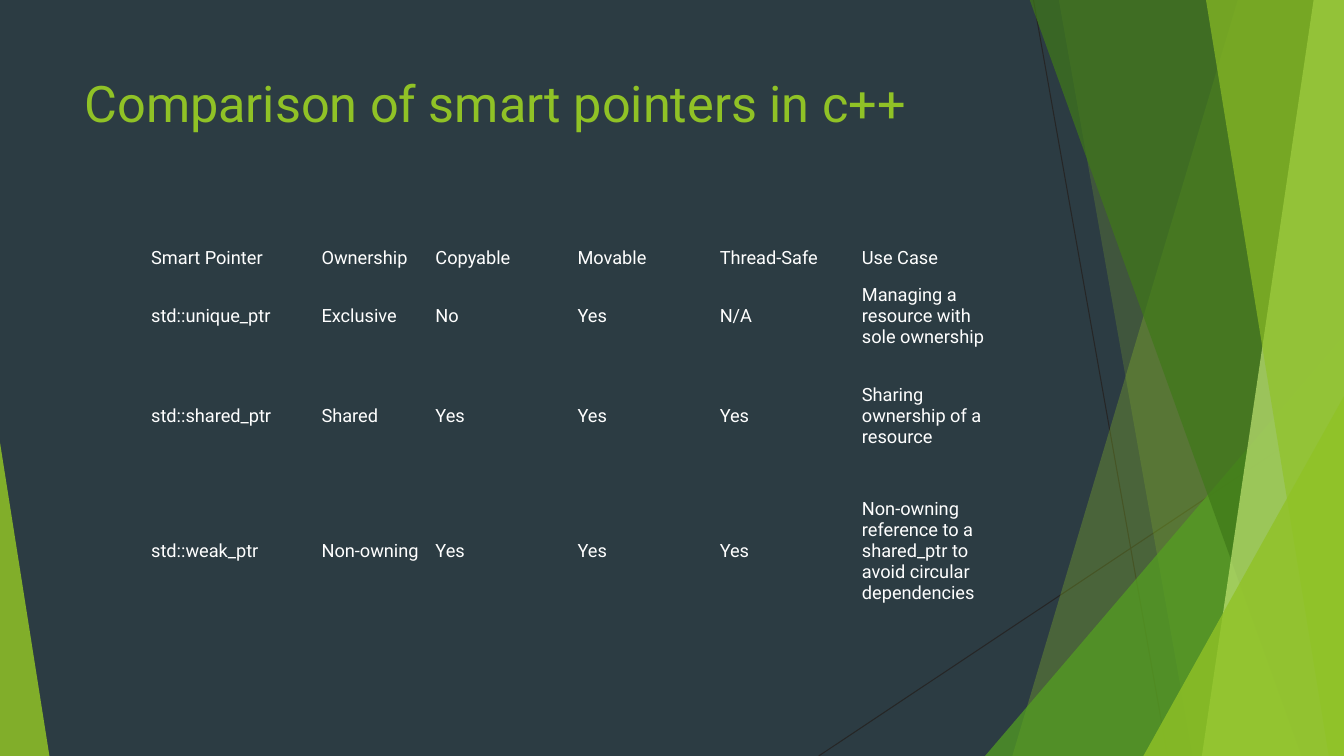
"""Build a slide with a table comparing the C++ smart pointers."""
import pptx
import pptx.dml.color
import pptx.enum.shapes
import pptx.enum.text
import pptx.oxml.ns
import pptx.util
from lxml import etree

PX = 9144
WIDTH, HEIGHT = 1333, 750
NO_GRID_STYLE = "{2D5ABB26-0587-4C30-8999-92F81FD0307C}"
COLORS = {
    "background": "2C3C43",
    "line": "262626",
    "text": "FFFFFF",
    "lime": "90C226",
    "green": "54A021",
    "forest": "3F7819",
    "pale": "C0E474",
}


def px(n):
    return pptx.util.Emu(n * PX)


def rgb(name):
    return pptx.dml.color.RGBColor.from_string(COLORS[name])


def write(tf, text, size, color, font="Roboto"):
    p = tf.paragraphs[0]
    p.alignment = pptx.enum.text.PP_ALIGN.LEFT
    r = p.add_run()
    r.text = text
    r.font.size = pptx.util.Pt(size)
    r.font.name = font
    r.font.color.rgb = rgb(color)


class Deck:
    def __init__(self):
        self.prs = pptx.Presentation()
        self.prs.slide_width, self.prs.slide_height = px(WIDTH), px(HEIGHT)
        self.s = self.prs.slides.add_slide(self.prs.slide_layouts[6])
        self.s.background.fill.solid()
        self.s.background.fill.fore_color.rgb = rgb("background")

    def line(self, x1, y1, x2, y2):
        c = self.s.shapes.add_connector(
            pptx.enum.shapes.MSO_CONNECTOR.STRAIGHT, px(x1), px(y1), px(x2), px(y2))
        c.line.color.rgb = rgb("line")
        c.line.width = pptx.util.Pt(0.75)
        etree.SubElement(c.element.spPr, pptx.oxml.ns.qn("a:effectLst"))

    def paint(self, sp, color, opacity):
        sp.shadow.inherit = False
        sp.line.fill.background()
        sp.fill.solid()
        sp.fill.fore_color.rgb = rgb(color)
        clr = sp.element.spPr.find(".//" + pptx.oxml.ns.qn("a:srgbClr"))
        etree.SubElement(clr, pptx.oxml.ns.qn("a:alpha"), val=str(opacity * 1000))

    def band(self, top_x, bottom_x, color, opacity):
        builder = self.s.shapes.build_freeform(top_x, -1, scale=PX)
        builder.add_line_segments(
            [(WIDTH, -1), (WIDTH, HEIGHT), (bottom_x, HEIGHT)], close=True)
        self.paint(builder.convert_to_shape(), color, opacity)

    def triangle(self, x, y, w, apex, color, opacity):
        sp = self.s.shapes.add_shape(
            pptx.enum.shapes.MSO_SHAPE.ISOSCELES_TRIANGLE,
            px(x), px(y), px(w), px(HEIGHT - y))
        sp.adjustments[0] = apex
        self.paint(sp, color, opacity)

    def title(self, x, y, w, h, text):
        tf = self.s.shapes.add_textbox(px(x), px(y), px(w), px(h)).text_frame
        tf.word_wrap = True
        write(tf, text, size=36, color="lime")

    def table(self, x, y, widths, heights, rows):
        frame = self.s.shapes.add_table(
            len(rows), len(widths), px(x), px(y), px(sum(widths)), px(sum(heights)))
        table = frame.table
        table.first_row = table.horz_banding = False
        style = frame.element.find(".//" + pptx.oxml.ns.qn("a:tableStyleId"))
        style.text = NO_GRID_STYLE
        for column, w in zip(table.columns, widths):
            column.width = px(w)
        for row, h, texts in zip(table.rows, heights, rows):
            row.height = px(h)
            for cell, text in zip(row.cells, texts):
                cell.fill.background()
                cell.vertical_anchor = pptx.enum.text.MSO_ANCHOR.MIDDLE
                cell.margin_left = cell.margin_right = px(7)
                cell.margin_top = cell.margin_bottom = px(4)
                write(cell.text_frame, text, size=13, color="text")


def main():
    deck = Deck()
    deck.line(1025, 0, 1158, HEIGHT)
    deck.line(WIDTH, 403, 812, HEIGHT)
    deck.band(1228, 1004, "lime", 30)
    deck.band(1050, 1183, "lime", 20)
    deck.triangle(977, 333, 356, 1, "green", 72)
    deck.band(1021, 1291, "forest", 70)
    deck.band(1303, 1192, "pale", 70)
    deck.band(1196, 1318, "lime", 65)
    deck.triangle(1134, 393, 199, 1, "lime", 80)
    deck.triangle(0, 439, 49, 0, "lime", 85)
    deck.title(74, 67, 940, 144, "Comparison of smart pointers in c++")
    deck.table(143, 236, [169, 113] + [141] * 4, [40, 75, 124, 144], [
        ["Smart Pointer", "Ownership", "Copyable", "Movable", "Thread-Safe", "Use Case"],
        ["std::unique_ptr", "Exclusive", "No", "Yes", "N/A",
         "Managing a resource with sole ownership"],
        ["std::shared_ptr", "Shared", "Yes", "Yes", "Yes",
         "Sharing ownership of a resource"],
        ["std::weak_ptr", "Non-owning", "Yes", "Yes", "Yes",
         "Non-owning reference to a shared_ptr to avoid circular dependencies"],
    ])
    deck.prs.save("out.pptx")


if __name__ == "__main__":
    main()
